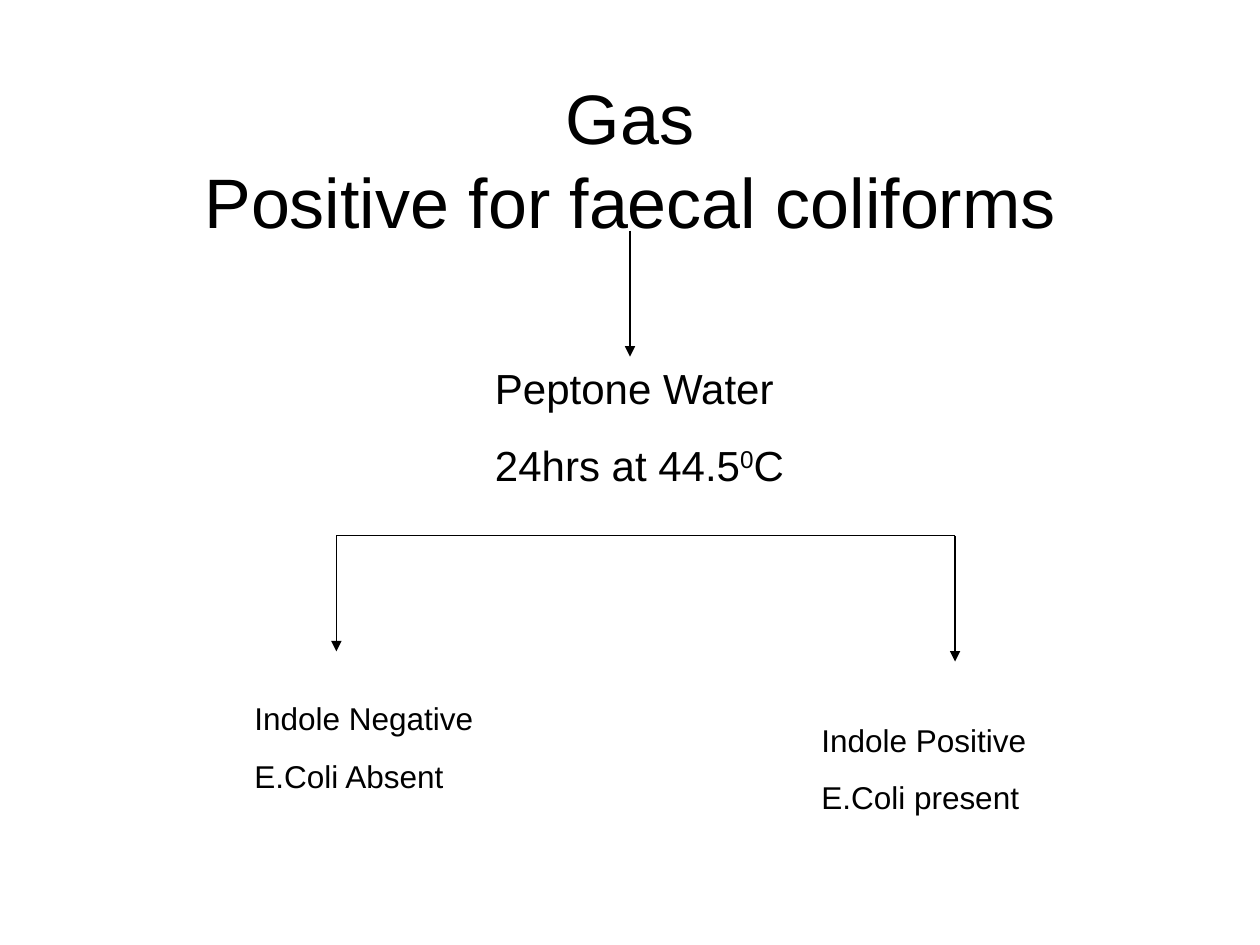
from dataclasses import dataclass

from lxml import etree
from pptx import Presentation
from pptx.dml.color import RGBColor
from pptx.enum.shapes import MSO_CONNECTOR
from pptx.enum.text import MSO_ANCHOR, MSO_AUTO_SIZE, PP_ALIGN
from pptx.oxml.ns import qn
from pptx.util import Inches, Pt

STRAIGHT = MSO_CONNECTOR.STRAIGHT
CENTER = PP_ALIGN.CENTER
LEFT = PP_ALIGN.LEFT
MIDDLE = MSO_ANCHOR.MIDDLE
GROW = MSO_AUTO_SIZE.SHAPE_TO_FIT_TEXT
NO_FIT = MSO_AUTO_SIZE.NONE
TITLE_ONLY = 5


@dataclass(frozen=True)
class Theme:
    font: str = "Arial"
    ink: RGBColor = RGBColor(0, 0, 0)
    title: float = 40
    step: float = 24
    outcome: float = 18
    step_gap: float = 15
    outcome_gap: float = 11.2
    line: float = 0.75
    superscript: str = "30000"


THEME = Theme()


def write(frame, paragraphs, *, size, gap=0, align=LEFT):
    frame.word_wrap = True
    for index, runs in enumerate(paragraphs):
        paragraph = frame.paragraphs[0] if index == 0 else frame.add_paragraph()
        paragraph.alignment = align
        paragraph.space_before = Pt(gap if index else 0)
        for text, raised in runs:
            run = paragraph.add_run()
            run.text = text
            run.font.name = THEME.font
            run.font.size = Pt(size)
            run.font.color.rgb = THEME.ink
            if raised:
                run.font._element.set("baseline", THEME.superscript)


def plain(*lines):
    return [[(line, False)] for line in lines]


def add_text(slide, box, paragraphs, **style):
    frame = slide.shapes.add_textbox(*map(Inches, box)).text_frame
    write(frame, paragraphs, **style)
    frame.auto_size = GROW


def add_line(slide, start, end, arrow=True):
    connector = slide.shapes.add_connector(STRAIGHT, *map(Inches, (*start, *end)))
    connector.line.color.rgb = THEME.ink
    connector.line.width = Pt(THEME.line)
    if arrow:
        outline = connector.line._get_or_add_ln()
        etree.SubElement(outline, qn("a:tailEnd"), type="triangle")
    etree.SubElement(connector._element.spPr, qn("a:effectLst"))


def add_heading(slide, box):
    title = slide.shapes.title
    title.left, title.top, title.width, title.height = map(Inches, box)
    frame = title.text_frame
    frame.margin_top = frame.margin_bottom = 0
    frame.vertical_anchor = MIDDLE
    write(frame, plain("Gas", "Positive for faecal coliforms"),
          size=THEME.title, align=CENTER)
    frame.auto_size = NO_FIT


def add_incubation(slide, box):
    temperature = [("24hrs at 44.5", False), ("0", True), ("C", False)]
    add_text(slide, box, [*plain("Peptone Water"), temperature],
             size=THEME.step, gap=THEME.step_gap)


def add_branches(slide, box):
    left, top, width, height = box
    right = left + width
    add_line(slide, (left, top), (right, top), arrow=False)
    add_line(slide, (left, top), (left, top + height - 0.08))
    add_line(slide, (right, top), (right, top + height))


def add_outcome(slide, box, *lines):
    add_text(slide, box, plain(*lines),
             size=THEME.outcome, gap=THEME.outcome_gap)


def main():
    presentation = Presentation()
    presentation.slide_width = Inches(10)
    presentation.slide_height = Inches(7.5)
    slide = presentation.slides.add_slide(presentation.slide_layouts[TITLE_ONLY])
    add_heading(slide, (0.5, 0.61, 9, 1.3))
    add_line(slide, (5, 1.83), (5, 2.83))
    add_incubation(slide, (3.83, 2.83, 3.75, 1.11))
    add_branches(slide, (2.67, 4.25, 4.91, 1))
    add_outcome(slide, (1.92, 5.5, 2.08, 0.86), "Indole Negative", "E.Coli Absent")
    add_outcome(slide, (6.42, 5.67, 2.08, 0.86), "Indole Positive", "E.Coli present")
    presentation.save("out.pptx")


if __name__ == "__main__":
    main()
